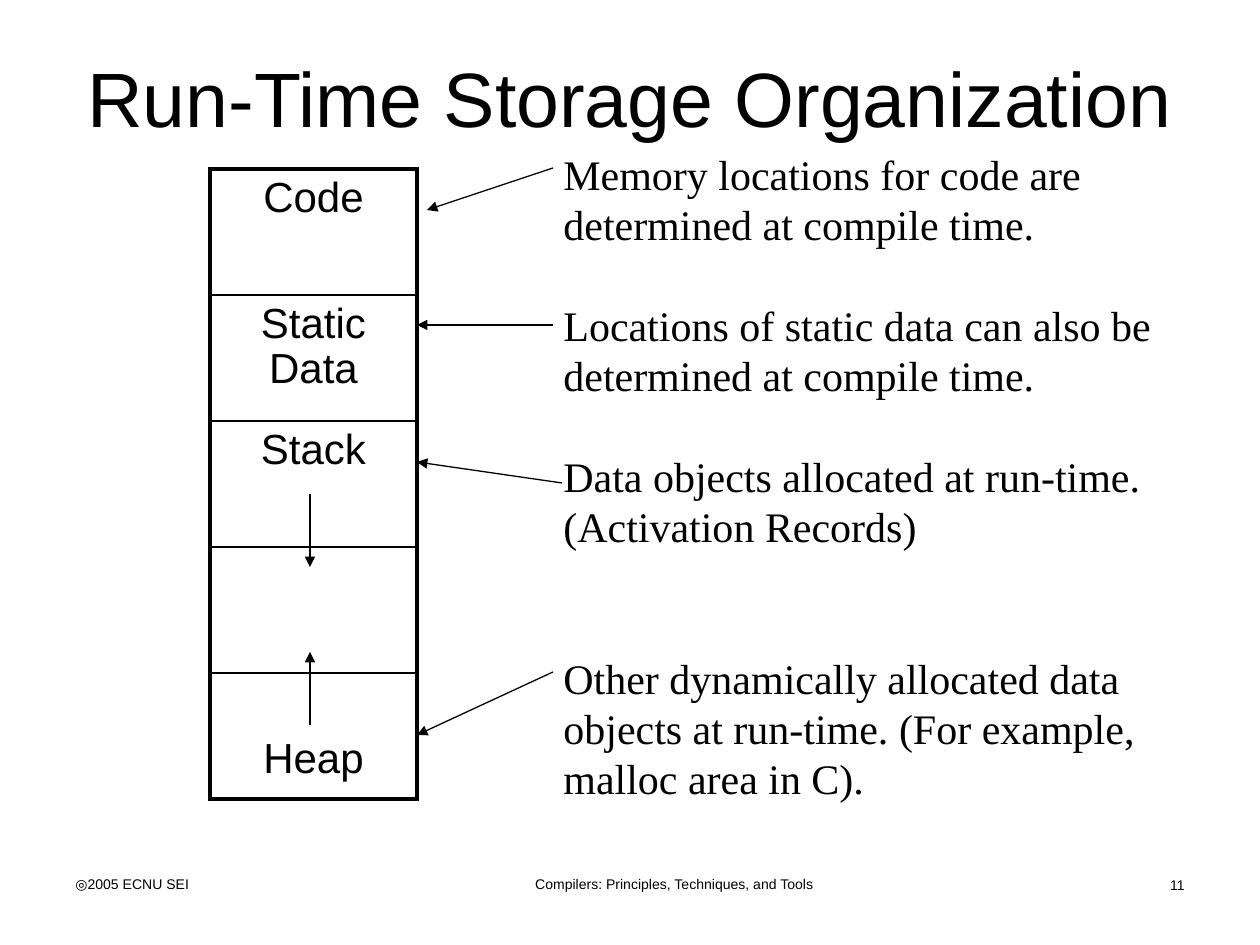
from lxml import etree
from pptx import Presentation
from pptx import util as u
from pptx.dml.color import RGBColor
from pptx.enum import shapes, text
from pptx.oxml.ns import qn

PX = u.Inches(1) / 126
BLACK = "000000"
LEFT, CENTER, RIGHT = text.PP_ALIGN.LEFT, text.PP_ALIGN.CENTER, text.PP_ALIGN.RIGHT


def px(*lengths):
    return [u.Emu(round(length * PX)) for length in lengths]


def color(hex_code):
    return RGBColor.from_string(hex_code)


def write(frame, lines, size=24, font="Arial", align=LEFT, anchor=text.MSO_ANCHOR.TOP,
          spacing=None, gaps=None):
    """Write one paragraph per line; gaps maps a line index to its space before."""
    frame.word_wrap = True
    frame.vertical_anchor = anchor
    for i, line in enumerate(lines):
        paragraph = frame.paragraphs[0] if i == 0 else frame.add_paragraph()
        paragraph.alignment = align
        if spacing:
            paragraph.line_spacing = spacing
        if gaps and i in gaps:
            paragraph.space_before = gaps[i]
        run = paragraph.add_run()
        run.text = line
        run.font.size = u.Pt(size)
        run.font.name = font
        run.font.color.rgb = color(BLACK)


def add_label(slide, box, lines, **style):
    write(slide.shapes.add_textbox(*px(*box)).text_frame, lines, **style)


def add_arrow(slide, start, end):
    arrow = slide.shapes.add_connector(shapes.MSO_CONNECTOR.STRAIGHT, *px(*start, *end))
    arrow.line.color.rgb = color(BLACK)
    arrow.line.width = u.Pt(0.75)
    etree.SubElement(arrow.line._get_or_add_ln(), qn("a:tailEnd"), type="triangle")
    etree.SubElement(arrow._element.spPr, qn("a:effectLst"))


def set_borders(cell, **widths):
    properties = cell._tc.get_or_add_tcPr()
    for i, (side, width) in enumerate(widths.items()):
        line = etree.Element(qn(f"a:ln{side}"), w=str(u.Pt(width)))
        fill = etree.SubElement(line, qn("a:solidFill"))
        etree.SubElement(fill, qn("a:srgbClr"), val=BLACK)
        properties.insert(i, line)


def add_title(slide, box, title):
    holder = slide.shapes.title
    holder.left, holder.top, holder.width, holder.height = px(*box)
    write(holder.text_frame, [title], size=44, align=CENTER, anchor=text.MSO_ANCHOR.MIDDLE)


def add_memory(slide, box):
    """Stack the storage areas, with arrows for the growth of stack and heap."""
    left, top, width, height = box
    areas = ["Code", "Static Data", "Stack", "", "Heap"]
    last = len(areas) - 1
    row_height = height // len(areas)
    table = slide.shapes.add_table(len(areas), 1, *px(*box)).table
    table.first_row = table.horz_banding = False
    for i, area in enumerate(areas):
        table.rows[i].height = px(row_height)[0]
        cell = table.cell(i, 0)
        cell.fill.background()
        cell.margin_top, cell.margin_bottom = px(8, 17)
        anchor = text.MSO_ANCHOR.BOTTOM if i == last else text.MSO_ANCHOR.TOP
        if area:
            write(cell.text_frame, [area], align=CENTER, spacing=0.95)
        cell.vertical_anchor = anchor
        set_borders(cell, L=2.25, R=2.25, T=2.25 if i == 0 else 1, B=2.25 if i == last else 1)

    # Stack grows down, heap grows up
    middle = left + 100
    for start, end in ((325, 398), (556, 483)):
        add_arrow(slide, (middle, top + start), (middle, top + end))


def add_notes(slide, box):
    """Explain each storage area, with an arrow from the note to its area."""
    left, top, width, height = box
    pitch = u.Pt(28.8)
    lines = [
        "Memory locations for code are",
        "determined at compile time.",
        "Locations of static data can also be",
        "determined at compile time.",
        "Data objects allocated at run-time.",
        "(Activation Records)",
        "Other dynamically allocated data",
        "objects at run-time. (For example,",
        "malloc area in C).",
    ]
    add_label(slide, box, lines, font="Times New Roman", spacing=pitch,
              gaps={2: pitch, 4: pitch, 6: 2 * pitch})

    # Start and end of each arrow, from the corner of the notes
    for x1, y1, x2, y2 in ((2, 26, -124, 68), (2, 183, -134, 183),
                           (11, 341, -134, 320), (2, 530, -134, 593)):
        add_arrow(slide, (left + x1, top + y1), (left + x2, top + y2))


def add_footer(slide, box):
    left, top, width, height = box
    parts = [
        (0, 0, 294, "◎2005 ECNU SEI", LEFT),
        (349, 0, 525, "Compilers: Principles, Techniques, and Tools", CENTER),
        (964, 1, 170, "11", RIGHT),
    ]
    for x, y, part_width, wording, align in parts:
        add_label(slide, (left + x, top + y, part_width, height), [wording], size=8, align=align)


def main():
    deck = Presentation()
    deck.slide_width, deck.slide_height = px(1260, 945)
    slide = deck.slides.add_slide(deck.slide_layouts[5])
    add_title(slide, (63, 38, 1134, 117), "Run-Time Storage Organization")
    add_memory(slide, (210, 169, 207, 630))
    add_notes(slide, (551, 142, 625, 667))
    add_footer(slide, (63, 869, 1134, 35))
    deck.save("out.pptx")


if __name__ == "__main__":
    main()
